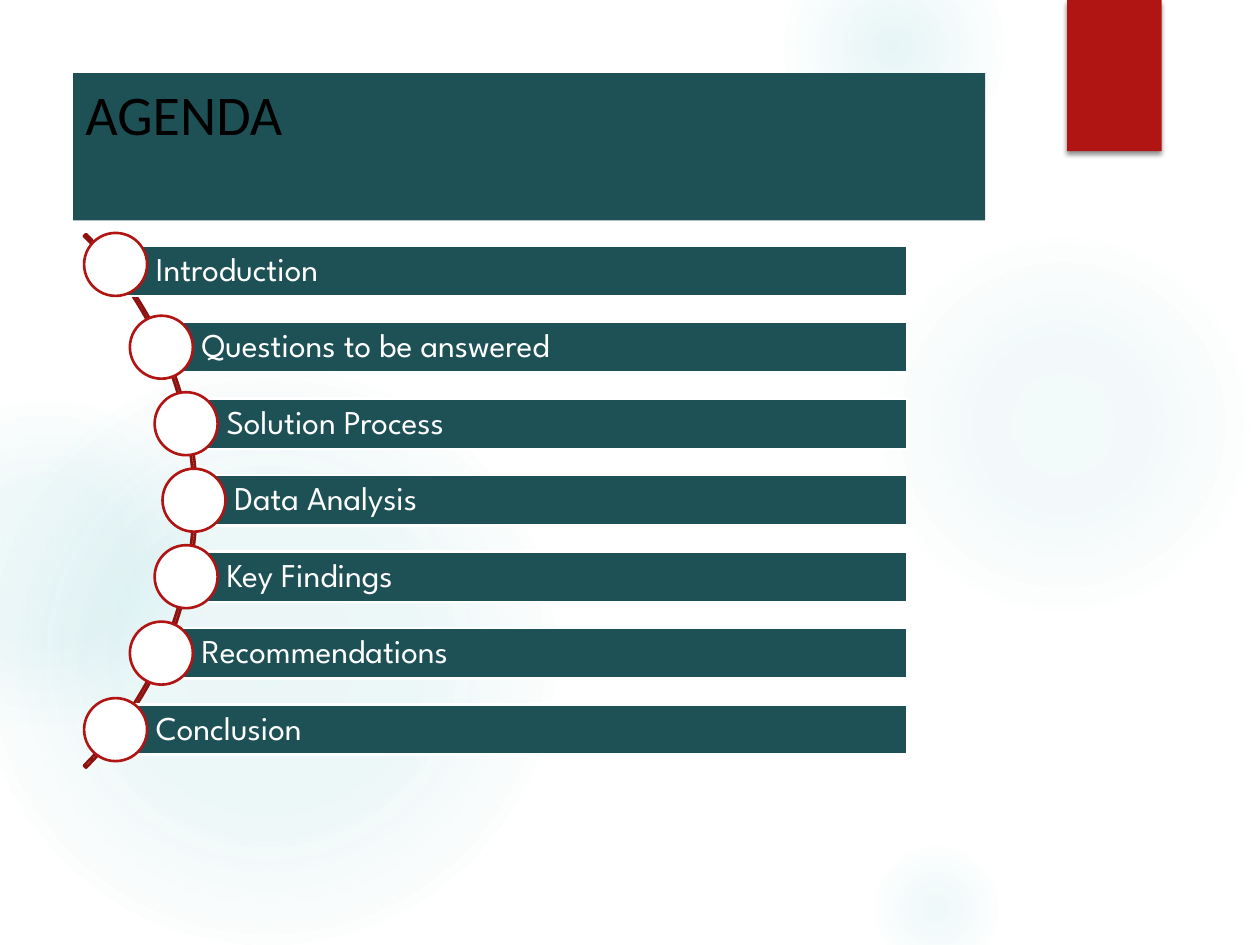
import math
from lxml import etree
from pptx import Presentation
from pptx import util as u
from pptx.dml import color
from pptx.enum import shapes, text
from pptx.oxml import ns

deck = Presentation()
deck.slide_width, deck.slide_height = u.Inches(10), u.Inches(7.5)
slide = deck.slides.add_slide(deck.slide_layouts[6])
CELL = deck.slide_width / 100  # grid of 100 columns by 75 rows
TEAL, RED, WHITE, GLOW = "1E5155", "B01513", "FFFFFF", "50B9C1"
A = ns.nsdecls("a")


def rgb(value):
    return color.RGBColor.from_string(value)


def add(kind, col, row, cols, rows, fill=None, line=None):
    shape = slide.shapes.add_shape(kind, *(round(n * CELL) for n in (col, row, cols, rows)))
    shape.shadow.inherit = False
    if fill:
        shape.fill.solid()
        shape.fill.fore_color.rgb = rgb(fill)
    else:
        shape.fill.background()
    if line:
        shape.line.color.rgb = rgb(line)
        shape.line.width = u.Pt(1.5)
    else:
        shape.line.fill.background()
    return shape


# Soft background glows: column, row, diameter, (position, opacity) stops in percent
glows = [
    (68.9, 18.3, 30.8, [(0, 7), (36, 6), (69, 0)]),
    (62.2, -5, 17.5, [(0, 14), (36, 7), (73, 0)]),
    (68.9, 66.7, 10.8, [(0, 9), (36, 5), (66, 0)]),
    (-1.7, 29.2, 45.8, [(0, 11), (36, 10), (75, 0)]),
    (-9.2, 31.7, 25.8, [(0, 8), (36, 8), (72, 0)]),
]
for col, row, size, stops in glows:
    glow = add(shapes.MSO_SHAPE.OVAL, col, row, size, size)
    stop_xml = "".join(
        f'<a:gs pos="{pos * 1000}"><a:srgbClr val="{GLOW}"><a:alpha val="{alpha * 1000}"/></a:srgbClr></a:gs>'
        for pos, alpha in stops)
    gradient = etree.fromstring(
        f'<a:gradFill {A} rotWithShape="1"><a:gsLst>{stop_xml}</a:gsLst><a:path path="circle">'
        '<a:fillToRect l="50000" t="50000" r="50000" b="50000"/></a:path></a:gradFill>')
    no_fill = glow.element.spPr.find(ns.qn("a:noFill"))
    glow.element.spPr.replace(no_fill, gradient)

# Red ribbon with a shadow below it
ribbon = add(shapes.MSO_SHAPE.RECTANGLE, 84.7, 0, 7.5, 12, RED)
ribbon.element.spPr.find(ns.qn("a:effectLst")).append(etree.fromstring(
    f'<a:outerShdw {A} blurRad="{u.Pt(3)}" dist="{u.Pt(2)}" dir="5400000" rotWithShape="0">'
    '<a:srgbClr val="000000"><a:alpha val="45000"/></a:srgbClr></a:outerShdw>'))

# Title band
title = add(shapes.MSO_SHAPE.RECTANGLE, 5.8, 5.8, 72.4, 11.7, TEAL)
title.text_frame.text = "AGENDA"
title.text_frame.vertical_anchor = text.MSO_ANCHOR.TOP
heading = title.text_frame.paragraphs[0]
heading.alignment = text.PP_ALIGN.LEFT
heading.runs[0].font.name = "Calibri"
heading.runs[0].font.size = u.Pt(32)
heading.runs[0].font.color.rgb = rgb("000000")

# Arc that carries the agenda
ARC_COL, ARC_ROW, ARC_SIZE = -44.3, 9.8, 59.9
arc = add(shapes.MSO_SHAPE.BLOCK_ARC, ARC_COL, ARC_ROW, ARC_SIZE, ARC_SIZE, line="8D110F")
for i, value in enumerate((189, 27, 0.004)):
    arc.adjustments[i] = value

# Agenda bars, each starting at the middle of its circle on the arc
topics = ["Introduction", "Questions to be answered", "Solution Process", "Data Analysis",
          "Key Findings", "Recommendations", "Conclusion"]
CENTRE_COL, MIDDLE_ROW, RADIUS = ARC_COL + ARC_SIZE / 2, 39.7, 29.75
PITCH, BAR_ROWS, RIGHT, DOT = 6.07, 4, 72, 5
for i, topic in enumerate(topics):
    offset = (i - len(topics) // 2) * PITCH
    col = CENTRE_COL + math.sqrt(RADIUS ** 2 - offset ** 2)
    row = MIDDLE_ROW + offset
    bar = add(shapes.MSO_SHAPE.RECTANGLE, col, row - BAR_ROWS / 2, RIGHT - col, BAR_ROWS, TEAL, WHITE)
    frame = bar.text_frame
    frame.text = topic
    frame.vertical_anchor = text.MSO_ANCHOR.MIDDLE
    frame.margin_left = u.Inches(0.32)
    frame.margin_top = frame.margin_right = frame.margin_bottom = u.Inches(0.05)
    label = frame.paragraphs[0]
    label.alignment = text.PP_ALIGN.LEFT
    label.line_spacing = 0.9
    label.runs[0].font.name = "League Spartan"
    label.runs[0].font.size = u.Pt(19)
    label.runs[0].font.color.rgb = rgb(WHITE)
    lift = 0.5 if i == 0 else 0  # the first circle sits slightly higher
    add(shapes.MSO_SHAPE.OVAL, col - DOT / 2, row - DOT / 2 - lift, DOT, DOT, WHITE, RED)

deck.save("out.pptx")
